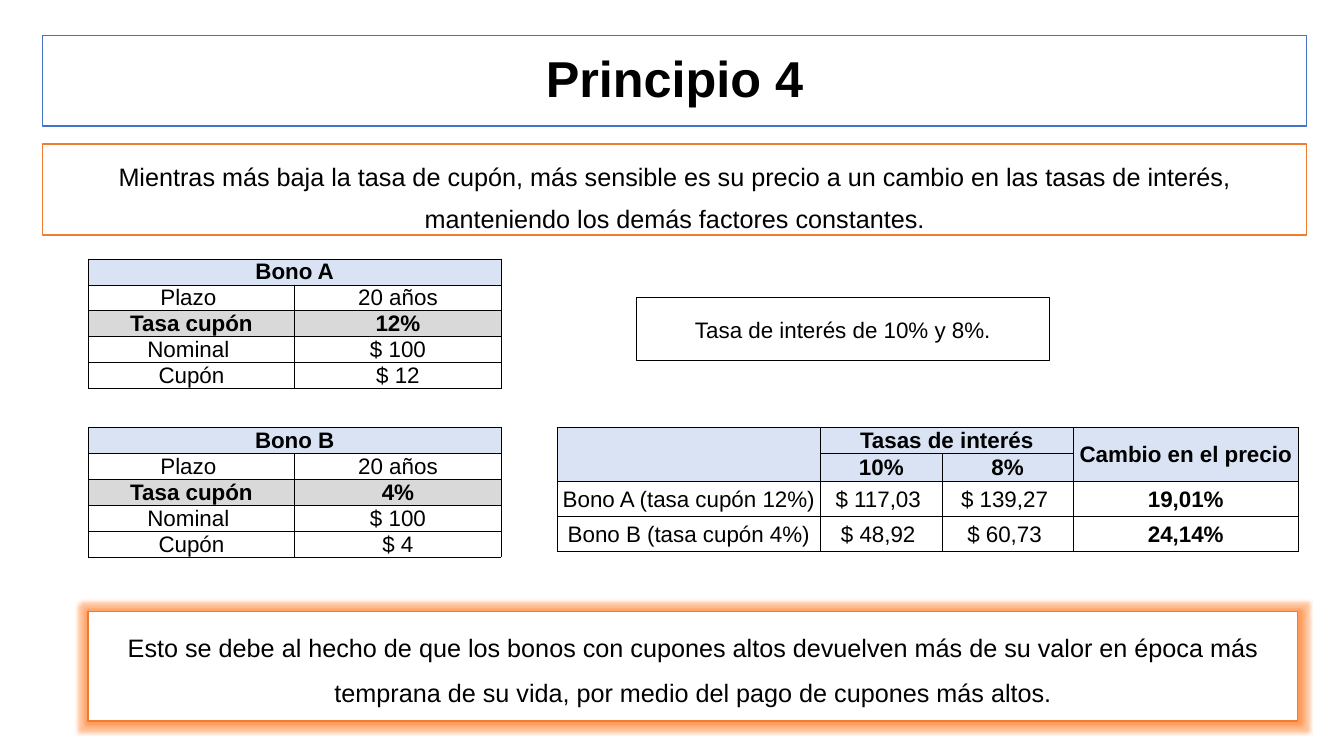
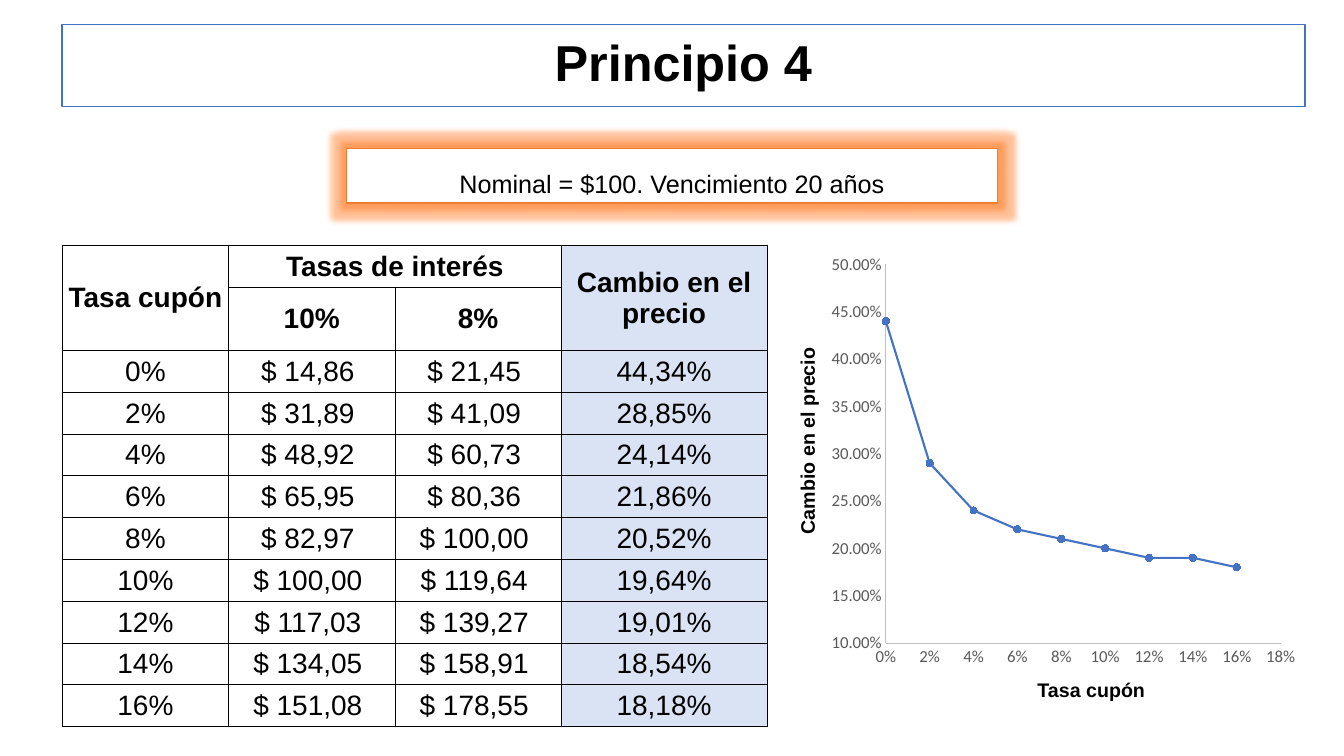
from dataclasses import dataclass

from lxml.etree import SubElement
from pptx import Presentation
from pptx.chart.data import XyChartData
from pptx.dml.color import RGBColor
from pptx.enum.chart import XL_CHART_TYPE as ChartType, XL_MARKER_STYLE as Marker
from pptx.enum.chart import XL_TICK_MARK as TickMark
from pptx.enum.shapes import MSO_SHAPE as ShapeKind
from pptx.enum.text import MSO_ANCHOR as Anchor, PP_ALIGN as Align
from pptx.oxml.ns import qn
from pptx.util import Pt


@dataclass(frozen=True)
class Theme:
    font: str = "Arial"
    axis_font: str = "Calibri"
    black: str = "000000"
    white: str = "FFFFFF"
    blue: str = "4472C4"
    orange: str = "ED7D31"
    glow: str = "FF6600"
    pale_blue: str = "DAE3F3"
    grey: str = "D9D9D9"
    axis_text: str = "595959"
    axis_line: str = "BFBFBF"
    title_size: int = 36
    body_size: int = 18
    table_size: int = 16
    large_table_size: int = 20
    label_size: int = 14
    axis_size: int = 12
    chart_size: int = 10


THEME = Theme()

COUPON_ROWS = [
    ["0%", "$ 14,86 ", "$ 21,45 ", "44,34%"],
    ["2%", "$ 31,89 ", "$ 41,09 ", "28,85%"],
    ["4%", "$ 48,92 ", "$ 60,73 ", "24,14%"],
    ["6%", "$ 65,95 ", "$ 80,36 ", "21,86%"],
    ["8%", "$ 82,97 ", "$ 100,00 ", "20,52%"],
    ["10%", "$ 100,00 ", "$ 119,64 ", "19,64%"],
    ["12%", "$ 117,03 ", "$ 139,27 ", "19,01%"],
    ["14%", "$ 134,05 ", "$ 158,91 ", "18,54%"],
    ["16%", "$ 151,08 ", "$ 178,55 ", "18,18%"],
]
RATE_MERGES = [(0, 0, 1, 0), (0, 1, 0, 2), (0, 3, 1, 3)]


def rate_header(first):
    return [[first, "Tasas de interés", "", "Cambio en el precio"], ["", "10%", "8%", ""]]


def apply(target, **values):
    for name, value in values.items():
        setattr(target, name, value)


def points(values):
    return [Pt(value) for value in values]


def paint(fill, color):
    fill.solid()
    fill.fore_color.rgb = RGBColor.from_string(color)


def draw_line(line, color, width):
    paint(line.fill, color)
    line.width = Pt(width)


def style_font(font, size, bold=False, color=THEME.black, name=THEME.font):
    apply(font, size=Pt(size), bold=bold, name=name)
    font.color.rgb = RGBColor.from_string(color)


def write(frame, text, size, bold=False, **spacing):
    paragraph = frame.paragraphs[0]
    apply(paragraph, alignment=Align.CENTER, **spacing)
    if text:
        run = paragraph.add_run()
        run.text = text
        style_font(run.font, size, bold)
    else:
        SubElement(paragraph._p, qn("a:endParaRPr"), sz=str(size * 100))


def add_color(parent, color, alpha=None):
    element = SubElement(parent, qn("a:srgbClr"), val=color)
    if alpha:
        SubElement(element, qn("a:alpha"), val=str(alpha * 1000))


def add_box(slide, box, line_color):
    shape = slide.shapes.add_shape(ShapeKind.RECTANGLE, *points(box))
    shape.shadow.inherit = False
    paint(shape.fill, THEME.white)
    draw_line(shape.line, line_color, 1)
    return shape


def add_title(slide, box, text):
    frame = add_box(slide, box, THEME.blue).text_frame
    frame.vertical_anchor = Anchor.MIDDLE
    write(frame, text, THEME.title_size, True, line_spacing=0.9)


def add_statement(slide, box, text, size=THEME.body_size, color=THEME.orange,
                  spacing=1.5, glow=0):
    shape = add_box(slide, box, color)
    shape.text_frame.vertical_anchor = Anchor.TOP
    write(shape.text_frame, text, size, line_spacing=spacing, space_before=Pt(size * 0.2))
    if glow:
        effects = shape._element.spPr.find(qn("a:effectLst"))
        add_color(SubElement(effects, qn("a:glow"), rad=str(Pt(glow))), THEME.glow, 40)


def add_label(slide, box, text, rotation=0):
    label = slide.shapes.add_textbox(*points(box))
    label.rotation = rotation
    label.text_frame.word_wrap = True
    write(label.text_frame, text, THEME.label_size, True)


def add_borders(cell):
    properties = cell._tc.get_or_add_tcPr()
    for side in ("lnL", "lnR", "lnT", "lnB"):
        border = SubElement(properties, qn(f"a:{side}"), w=str(Pt(0.5)))
        add_color(SubElement(border, qn("a:solidFill")), THEME.black)


def format_cell(cell, text, size, bold, color):
    apply(cell, margin_left=Pt(0.5), margin_right=Pt(0.5), margin_top=Pt(0.5),
          margin_bottom=0, vertical_anchor=Anchor.MIDDLE)
    write(cell.text_frame, text, size, bold)
    add_borders(cell)
    if color:
        paint(cell.fill, color)
    else:
        cell.fill.background()


def add_grid(slide, position, widths, heights, rows, merges, is_bold, color_of,
             size=THEME.table_size):
    frame = slide.shapes.add_table(len(rows), len(widths), *points(position),
                                   *points((sum(widths), sum(heights))))
    table = frame.table
    apply(table, first_row=False, horz_banding=False)
    for column, width in zip(table.columns, widths):
        column.width = Pt(width)
    for row, height in zip(table.rows, heights):
        row.height = Pt(height)
    for r, row in enumerate(rows):
        for c, text in enumerate(row):
            format_cell(table.cell(r, c), text, size, is_bold(r, c), color_of(r, c))
    for top, left, bottom, right in merges:
        table.cell(top, left).merge(table.cell(bottom, right))


def add_bond(slide, top, name, rate, coupon):
    rows = [[name, ""], ["Plazo ", "20 años"], ["Tasa cupón", rate],
            ["Nominal ", "$ 100"], ["Cupón", coupon]]
    colors = {0: THEME.pale_blue, 2: THEME.grey}
    add_grid(slide, (63, top), [147.5] * 2, [18.5] * 5, rows, [(0, 0, 0, 1)],
             lambda r, c: r in colors, lambda r, c: colors.get(r))


def format_axis(axis, maximum, minimum, step, number_format):
    apply(axis, maximum_scale=maximum, minimum_scale=minimum, major_unit=step,
          has_major_gridlines=False, has_title=False,
          major_tick_mark=TickMark.NONE, minor_tick_mark=TickMark.NONE)
    apply(axis.tick_labels, number_format=number_format, number_format_is_linked=False)
    style_font(axis.tick_labels.font, THEME.axis_size, False, THEME.axis_text, THEME.axis_font)
    draw_line(axis.format.line, THEME.axis_line, 0.75)


def place_plot(chart, **fractions):
    area = chart._chartSpace.chart.plotArea
    for layout in area.findall(qn("c:layout")):
        area.remove(layout)
    layout = SubElement(area, qn("c:layout"))
    area.insert(0, layout)
    manual = SubElement(layout, qn("c:manualLayout"))
    settings = dict(layoutTarget="inner", xMode="edge", yMode="edge", **fractions)
    for name, value in settings.items():
        SubElement(manual, qn(f"c:{name}"), val=str(value))


def percent(text):
    return round(float(text.rstrip("%").replace(",", ".")) / 100, 2)


def add_price_chart(slide, box):
    data = XyChartData()
    price_changes = data.add_series("Cambio en el precio")
    for row in COUPON_ROWS:
        price_changes.add_data_point(percent(row[0]), percent(row[3]))
    chart = slide.shapes.add_chart(ChartType.XY_SCATTER_LINES, *points(box), data).chart
    apply(chart, has_legend=False, has_title=False)
    chart.plots[0].vary_by_categories = False
    style_font(chart.font, THEME.chart_size, name=THEME.axis_font)
    format_axis(chart.category_axis, 0.18, 0, 0.02, "0%")
    format_axis(chart.value_axis, 0.5, 0.1, 0.05, "0.00%")
    series = chart.plots[0].series[0]
    series.smooth = False
    draw_line(series.format.line, THEME.blue, 1.5)
    apply(series.marker, style=Marker.CIRCLE, size=5)
    paint(series.marker.format.fill, THEME.blue)
    draw_line(series.marker.format.line, THEME.blue, 0.75)
    place_plot(chart, x=0.13, y=0.04, w=0.82, h=0.88)


def build_bond_slide(slide):
    add_title(slide, (30.4, 25.3, 903, 64.8), "Principio 4")
    add_statement(slide, (30.4, 103, 903, 64.8),
                  "Mientras más baja la tasa de cupón, más sensible es su precio a un cambio "
                  "en las tasas de interés, manteniendo los demás factores constantes.",
                  spacing=1.4)
    add_bond(slide, 185, "Bono A", "12%", "$ 12")
    add_bond(slide, 305.5, "Bono B", "4%", "$ 4")
    add_statement(slide, (454.5, 212.5, 295, 45), "Tasa de interés de 10% y 8%.",
                  THEME.table_size, THEME.black)
    rows = rate_header("") + [
        ["Bono A (tasa cupón 12%)", "$ 117,03 ", "$ 139,27 ", "19,01%"],
        ["Bono B (tasa cupón 4%)", "$ 48,92 ", "$ 60,73 ", "24,14%"],
    ]
    add_grid(slide, (398, 305.5), [188, 87, 93.5, 161], [18.5] * 2 + [25] * 2, rows,
             RATE_MERGES, lambda r, c: r < 2 or c == 3,
             lambda r, c: THEME.pale_blue if r < 2 else None)
    add_statement(slide, (63, 437, 864, 78),
                  "Esto se debe al hecho de que los bonos con cupones altos devuelven más de su "
                  "valor en época más temprana de su vida, por medio del pago de cupones más altos.",
                  glow=5)


def build_sensitivity_slide(slide):
    add_title(slide, (44.2, 17.6, 888, 58.5), "Principio 4")
    add_grid(slide, (44.5, 175), [118.8] * 3 + [147], [30, 45] + [29.9] * 9,
             rate_header("Tasa cupón") + COUPON_ROWS, RATE_MERGES, lambda r, c: r < 2,
             lambda r, c: THEME.pale_blue if c == 3 else None, THEME.large_table_size)
    add_statement(slide, (247.5, 106, 465, 39), "Nominal = $100. Vencimiento 20 años", glow=8)
    add_price_chart(slide, (588, 176.5, 344, 307.5))
    add_label(slide, (687, 480.5, 185, 24), "Tasa cupón")
    add_label(slide, (494, 303, 165, 24), "Cambio en el precio", 270)


def main():
    presentation = Presentation()
    apply(presentation, slide_width=Pt(960), slide_height=Pt(540))
    for build in (build_bond_slide, build_sensitivity_slide):
        build(presentation.slides.add_slide(presentation.slide_layouts[6]))
    presentation.save("out.pptx")


if __name__ == "__main__":
    main()
